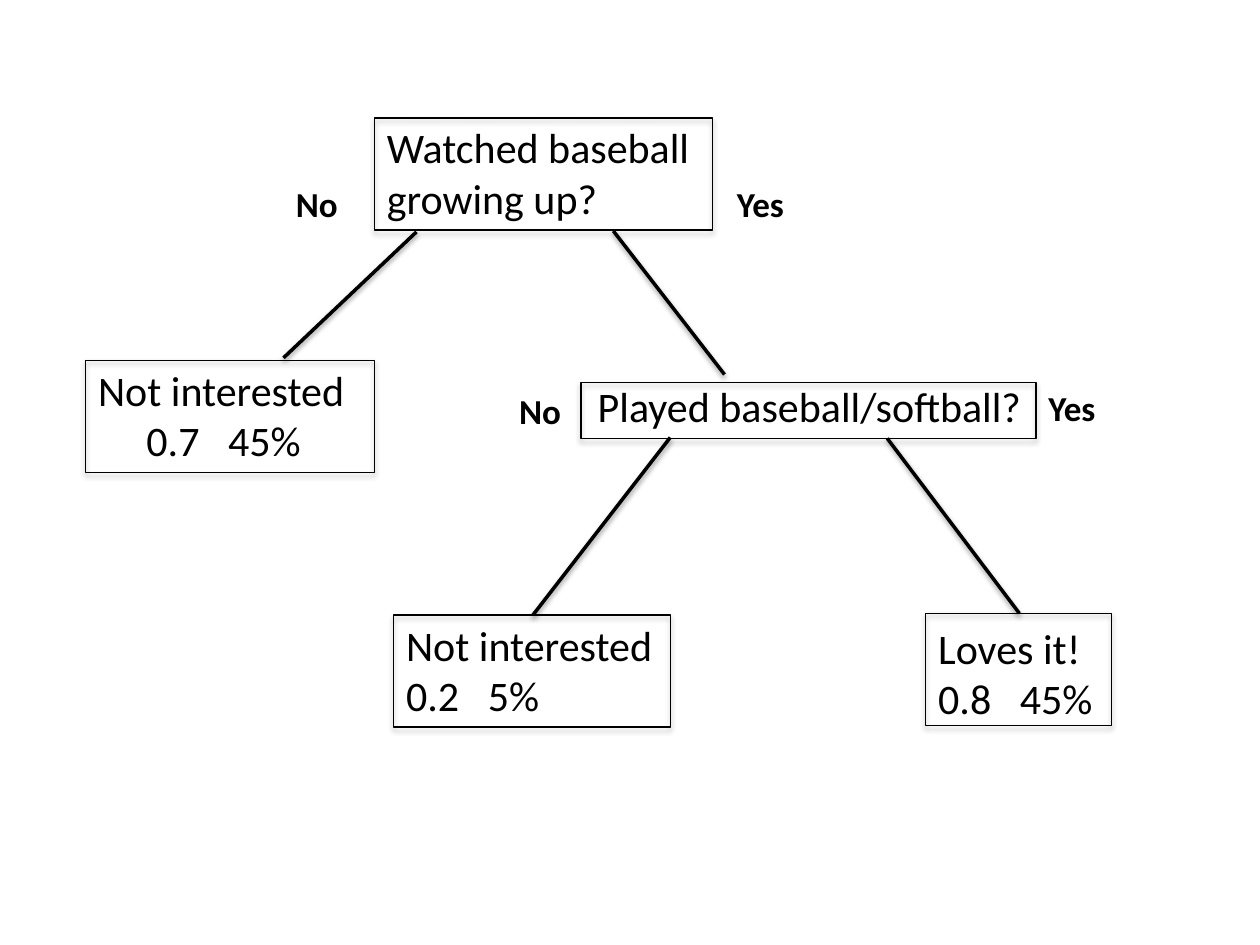
from lxml import etree
from pptx import Presentation
from pptx import util as u
from pptx.dml.color import RGBColor
from pptx.enum import shapes, text
from pptx.oxml.ns import qn

COLORS = {"ink": "000000"}
FONT = "Calibri"
GAP_SPACING = 10.85  # extra points between probability and share


def color(name):
    return RGBColor.from_string(COLORS[name])


def emu(points):
    return str(int(u.Pt(points)))


def add_shadow(shape, distance, alpha):
    """Give a shape or connector a soft shadow straight below it."""
    properties = shape._element.spPr
    for old in properties.findall(qn("a:effectLst")):
        properties.remove(old)
    effects = etree.SubElement(properties, qn("a:effectLst"))
    shadow = etree.SubElement(effects, qn("a:outerShdw"), blurRad=emu(3.1),
                              dist=emu(distance), dir="5400000", rotWithShape="0")
    tint = etree.SubElement(shadow, qn("a:srgbClr"), val=COLORS["ink"])
    etree.SubElement(tint, qn("a:alpha"), val=str(alpha * 1000))


def add_text(slide, lines, left, top, width, height, size=24, bold=False,
             wrap=False, last_align=text.PP_ALIGN.LEFT):
    """Write lines; a line given as a tuple has a wide gap between its parts."""
    box = slide.shapes.add_textbox(*map(u.Pt, (left, top, width, height)))
    frame = box.text_frame
    frame.word_wrap = wrap
    frame.auto_size = text.MSO_AUTO_SIZE.NONE
    for index, line in enumerate(lines):
        paragraph = frame.add_paragraph() if index else frame.paragraphs[0]
        paragraph.alignment = last_align if index else text.PP_ALIGN.LEFT
        pieces = [line] if isinstance(line, str) else [line[0], " ", line[1]]
        for piece in pieces:
            run = paragraph.add_run()
            run.text = piece
            run.font.name = FONT
            run.font.size = u.Pt(size)
            run.font.bold = bold
            run.font.color.rgb = color("ink")
            if piece == " ":
                run._r.get_or_add_rPr().set("spc", str(round(GAP_SPACING * 100)))


def add_frame(slide, left, top, width, height):
    frame = slide.shapes.add_shape(shapes.MSO_SHAPE.RECTANGLE,
                                   *map(u.Pt, (left, top, width, height)))
    frame.fill.background()
    frame.line.color.rgb = color("ink")
    frame.line.width = u.Pt(0.75)
    add_shadow(frame, 1.8, 35)


def add_branch(slide, *ends):
    branch = slide.shapes.add_connector(shapes.MSO_CONNECTOR.STRAIGHT,
                                        *map(u.Pt, ends))
    branch.line.color.rgb = color("ink")
    branch.line.width = u.Pt(2)
    add_shadow(branch, 1.6, 38)


def main():
    presentation = Presentation()
    presentation.slide_width, presentation.slide_height = u.Pt(720), u.Pt(540)
    slide = presentation.slides.add_slide(presentation.slide_layouts[6])

    # Questions
    add_text(slide, ["Watched baseball growing up?"], 214, 66, 225, 65.5, wrap=True)
    add_text(slide, ["Played baseball/softball?"], 334.5, 214, 260, 36)

    # Outcomes with probability and share
    add_text(slide, ["Not interested", ("0.7", "45%")], 49, 204.5, 157.5, 65.5,
             last_align=text.PP_ALIGN.CENTER)
    add_text(slide, ["Not interested", ("0.2", "5%")], 225, 350.5, 157.5, 65.5)
    add_text(slide, ["Loves it!", ("0.8", "45%")], 529, 352, 104, 65.5)

    # Answers beside each question
    for answer, left, top in (("No", 162, 101), ("Yes", 414, 101),
                              ("No", 289.5, 219), ("Yes", 592, 217.5)):
        add_text(slide, [answer], left, top, 43, 31.5, size=20, bold=True)

    # Node frames
    for left, top, width, height in ((214, 67.5, 193, 64), (49, 206, 165, 64),
                                     (332, 218.5, 260, 32), (225, 351.5, 158, 64),
                                     (529, 350.5, 106, 64)):
        add_frame(slide, left, top, width, height)

    # Branches
    for ends in ((238, 132.5, 162, 204.5), (350.5, 132, 414, 214),
                 (383, 250, 304.5, 351.5), (507, 250.5, 582.5, 350.5)):
        add_branch(slide, *ends)

    presentation.save("out.pptx")


main()
